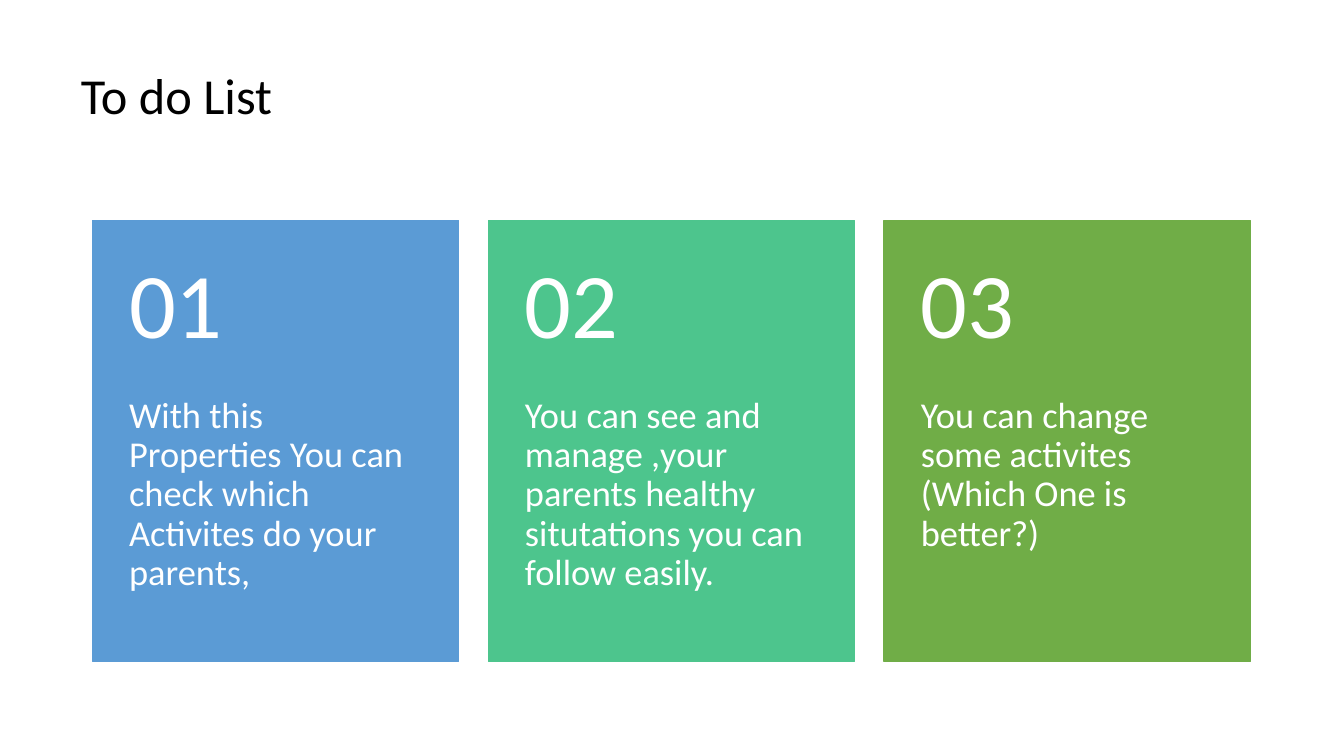
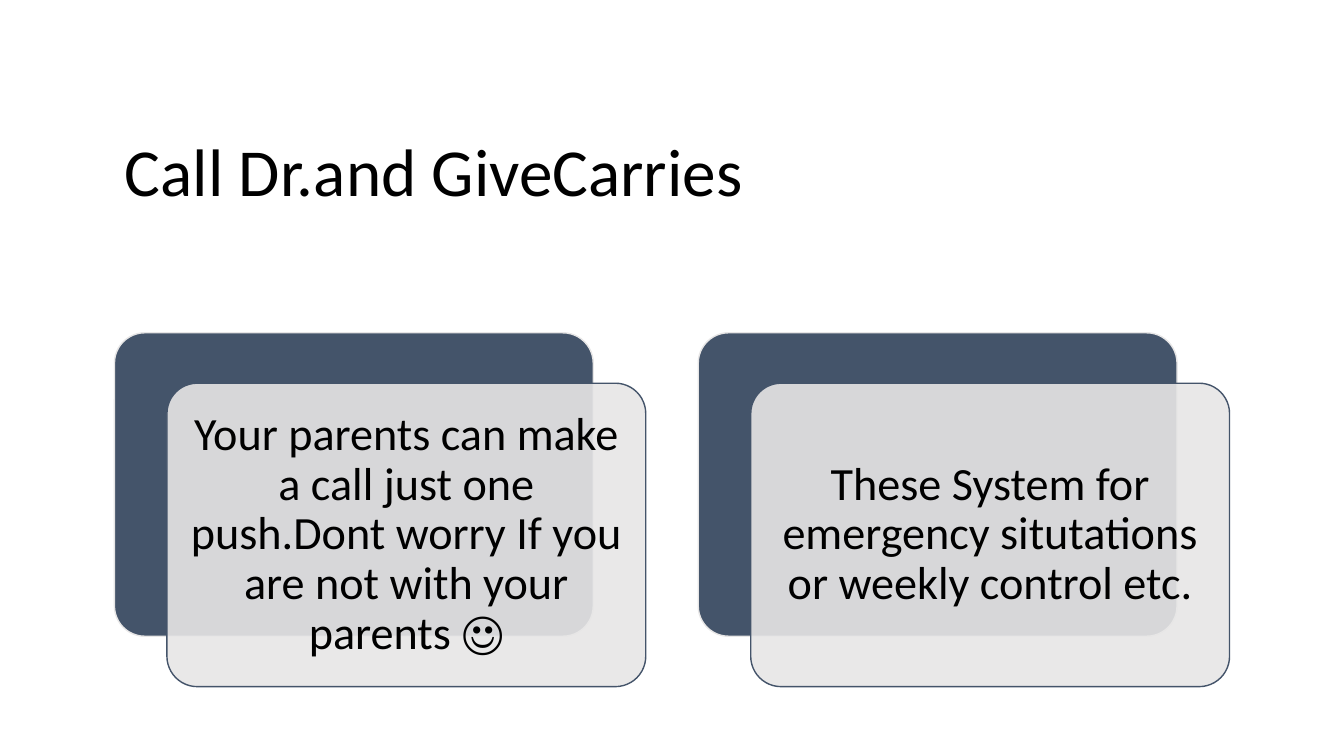
"""Build two slides: a to-do list in three cards and a calling feature in two layered panels."""
from lxml import etree
from pptx import Presentation
from pptx.dml.color import RGBColor
from pptx.enum.shapes import MSO_SHAPE
from pptx.enum.text import MSO_ANCHOR, MSO_AUTO_SIZE, PP_ALIGN
from pptx.oxml.ns import qn
from pptx.util import Pt

PX = 9525
RECTANGLE, ROUNDED = MSO_SHAPE.RECTANGLE, MSO_SHAPE.ROUNDED_RECTANGLE
TOP, MIDDLE = MSO_ANCHOR.TOP, MSO_ANCHOR.MIDDLE
LEFT, CENTER = PP_ALIGN.LEFT, PP_ALIGN.CENTER
NO_AUTOFIT = MSO_AUTO_SIZE.NONE

FONT = "Calibri"
BLACK, WHITE = "000000", "FFFFFF"
BLUE, MINT, GREEN = "5B9BD5", "4DC58D", "70AD47"
SLATE, SILVER = "44546A", "E7E6E6"
TITLE_INSETS = (10, 5, 10, 5)


def write_text(shape, box, text, size, color, insets, anchor=MIDDLE, alignment=LEFT):
    """Place a text shape and fill it with one formatted paragraph."""
    for name, value in zip(("left", "top", "width", "height"), box):
        setattr(shape, name, value * PX)
    frame = shape.text_frame
    frame.text = text
    paragraph = frame.paragraphs[0]
    font = paragraph.runs[0].font
    margins = ("margin_left", "margin_top", "margin_right", "margin_bottom")
    formats = (
        (frame, {"word_wrap": True, "auto_size": NO_AUTOFIT, "vertical_anchor": anchor}),
        (frame, {name: inset * PX for name, inset in zip(margins, insets)}),
        (paragraph, {"alignment": alignment, "line_spacing": 0.9}),
        (font, {"name": FONT, "size": Pt(size)}),
    )
    for target, values in formats:
        for name, value in values.items():
            setattr(target, name, value)
    font.color.rgb = RGBColor.from_string(color)


def add_panel(slide, kind, box, fill, line):
    """Add a filled and outlined shape without a shadow."""
    panel = slide.shapes.add_shape(kind, *(length * PX for length in box))
    panel.shadow.inherit = False
    panel.fill.solid()
    panel.fill.fore_color.rgb = RGBColor.from_string(fill)
    panel.line.color.rgb = RGBColor.from_string(line)
    panel.line.width = Pt(1)
    if kind == ROUNDED:
        panel.adjustments[0] = 0.1
    return panel


presentation = Presentation()
presentation.slide_width = 1280 * PX
presentation.slide_height = 720 * PX
title_only = presentation.slide_layouts[5]

todo_slide = presentation.slides.add_slide(title_only)
write_text(todo_slide.shapes.title, (67, 34, 1145, 119), "To do List", 36, BLACK, TITLE_INSETS)

cards = (
    ("01", BLUE, "With this Properties You can check which Activites do your parents,"),
    ("02", MINT, "You can see and manage ,your parents healthy situtations you can follow easily."),
    ("03", GREEN, "You can change some activites (Which One is better?)"),
)
card_left, card_top, card_width, card_height, card_gap = 88, 210, 349, 420, 28
number_height = 168
for index, (number, color, description) in enumerate(cards):
    left = card_left + index * (card_width + card_gap)
    add_panel(todo_slide, RECTANGLE, (left, card_top, card_width, card_height), color, color)
    number_box = (left, card_top, card_width, number_height)
    description_box = (left, card_top + number_height, card_width, card_height - number_height)
    write_text(todo_slide.shapes.add_textbox(0, 0, 0, 0), description_box, description,
               26, WHITE, (35, 0, 35, 35), TOP)
    write_text(todo_slide.shapes.add_textbox(0, 0, 0, 0), number_box, number,
               66, WHITE, (35, 17, 35, 17))

call_slide = presentation.slides.add_slide(title_only)
write_text(call_slide.shapes.title, (109, 85, 1068, 163), "Call Dr.and GiveCarries",
           48, BLACK, TITLE_INSETS)

messages = (
    "Your parents can make a call just one push.Dont worry If you are not with your parents ☺",
    "These System for emergency situtations or weekly control etc.",
)
panel_left, panel_top, panel_width, panel_height, panel_gap = 109, 317, 456, 289, 100
shift_right, shift_down, padding = 50, 48, 9
for index, message in enumerate(messages):
    left = panel_left + index * (panel_width + panel_gap)
    add_panel(call_slide, ROUNDED, (left, panel_top, panel_width, panel_height), SLATE, SILVER)
    front_left, front_top = left + shift_right, panel_top + shift_down
    front = add_panel(call_slide, ROUNDED, (front_left, front_top, panel_width, panel_height),
                      SILVER, SLATE)
    fill_color = front.fill._xPr.find(qn("a:solidFill"))[0]
    etree.SubElement(fill_color, qn("a:alpha"), val="90000")
    message_box = (front_left + padding, front_top + padding,
                   panel_width - 2 * padding, panel_height - 2 * padding)
    write_text(call_slide.shapes.add_textbox(0, 0, 0, 0), message_box, message,
               33, BLACK, (13, 13, 13, 13), MIDDLE, CENTER)

presentation.save("out.pptx")
